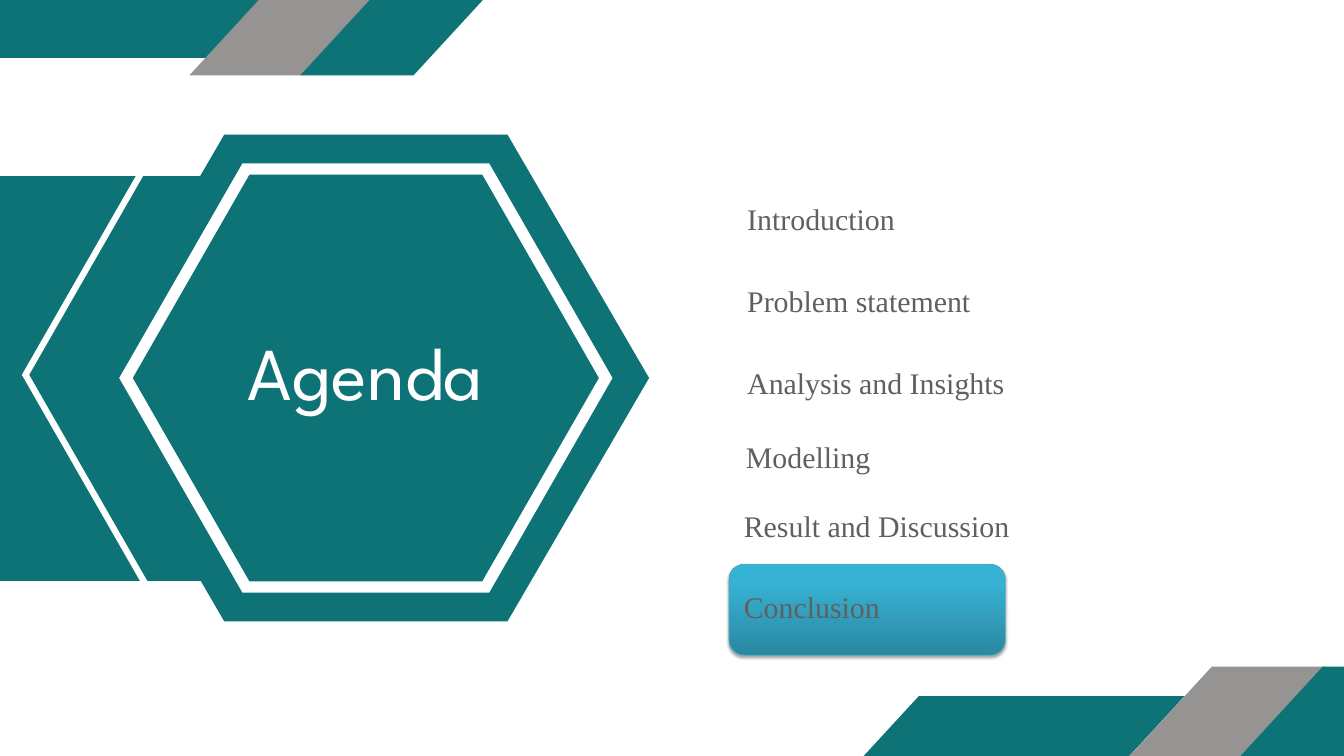
from copy import deepcopy
from dataclasses import dataclass

from lxml.etree import SubElement
from pptx import Presentation
from pptx.dml.color import RGBColor
from pptx.enum.shapes import MSO_CONNECTOR, MSO_SHAPE
from pptx.enum.text import MSO_ANCHOR, MSO_AUTO_SIZE, PP_ALIGN
from pptx.oxml.ns import qn
from pptx.util import Pt


@dataclass(frozen=True)
class Theme:
    """Colours, fonts and type sizes of the deck."""
    teal: str = "0D7377"
    grey: str = "969393"
    white: str = "FFFFFF"
    body: str = "606060"
    highlight_line: str = "46AAC5"
    highlight_stops: tuple = ((0, "2A88A2"), (0.8, "37B1D2"), (1, "34B4D6"))
    shadow: str = "000000"
    title_font: str = "League Spartan"
    body_font: str = "Times New Roman"
    title_size: float = 80
    body_size: float = 32
    body_leading: float = 44.8


@dataclass(frozen=True)
class Box:
    """A region of the slide in points."""
    left: float
    top: float
    width: float
    height: float


THEME = Theme()
AGENDA_ITEMS = (
    ("Introduction", 3.6, 0, 400),
    ("Problem statement", 3.6, 88.5, 296),
    ("Analysis and Insights", 3.6, 175.7, 296),
    ("Modelling", 2.2, 255.6, 296),
    ("Result and Discussion", 0, 329, 296),
    ("Conclusion", 0, 416.2, 296),
)


def rgb(value):
    """Turn a hexadecimal string into a colour."""
    return RGBColor.from_string(value)


def add_polygon(slide, color, *outlines):
    """Draw closed outlines, given in points, as one filled shape."""
    contours = [[(Pt(x), Pt(y)) for x, y in outline] for outline in outlines]
    builder = slide.shapes.build_freeform(*contours[0][0])
    builder.add_line_segments(contours[0][1:])
    for contour in contours[1:]:
        builder.move_to(*contour[0])
        builder.add_line_segments(contour[1:])
    shape = builder.convert_to_shape()
    shape.shadow.inherit = False
    shape.fill.solid()
    shape.fill.fore_color.rgb = rgb(color)
    shape.line.fill.background()


def add_parallelogram(slide, box, slant, color):
    """Draw a parallelogram that leans right by the slant."""
    right, bottom = box.left + box.width, box.top + box.height
    add_polygon(slide, color, [
        (box.left + slant, box.top), (right, box.top),
        (right - slant, bottom), (box.left, bottom)])


def add_ribbon(slide, box, stripe_left, stripe_top):
    """Draw a corner ribbon: a bar crossed by a grey and a teal stripe."""
    add_parallelogram(slide, box, 61, THEME.teal)
    for index, color in enumerate((THEME.grey, THEME.teal)):
        stripe = Box(box.left + stripe_left + index * 118.8,
                     box.top + stripe_top, 209.5, 95.8)
        add_parallelogram(slide, stripe, 88.2, color)


def hexagon(center, width, height):
    """Return the corners of a flat-topped hexagon."""
    x, y = center
    return [(x + width * across, y + height * down) for across, down in (
        (0.5, 0), (0.25, 0.5), (-0.25, 0.5), (-0.5, 0),
        (-0.25, -0.5), (0.25, -0.5), (0.5, 0))]


def add_chevron_line(slide, start, end):
    """Draw one thick white line of the chevron."""
    line = slide.shapes.add_connector(
        MSO_CONNECTOR.STRAIGHT, *(Pt(value) for value in (*start, *end)))
    line.line.color.rgb = rgb(THEME.white)
    line.line.width = Pt(6.75)
    SubElement(line.element.spPr, qn("a:effectLst"))


def set_text(shape, text, font_name, size, leading, color, alignment):
    """Write one formatted line into a shape without margins."""
    frame = shape.text_frame
    frame.word_wrap = True
    frame.auto_size = MSO_AUTO_SIZE.SHAPE_TO_FIT_TEXT
    frame.vertical_anchor = MSO_ANCHOR.TOP
    frame.margin_left = frame.margin_right = 0
    frame.margin_top = frame.margin_bottom = 0
    paragraph = frame.paragraphs[0]
    paragraph.alignment = alignment
    paragraph.line_spacing = Pt(leading)
    paragraph.space_before = Pt(0)
    run = paragraph.add_run()
    run.text = text
    run.font.name = font_name
    run.font.size = Pt(size)
    run.font.color.rgb = rgb(color)


def add_title_panel(slide, box):
    """Draw the hexagon panel and put the title on it."""
    center = (box.left + box.width / 2, box.top + box.height / 2)
    add_polygon(slide, THEME.teal, hexagon(center, box.width, box.height))
    left, right = box.left - 115.2, box.left + 399.6
    top, bottom = box.top + 44, box.top + 478
    add_polygon(slide, THEME.teal, [
        (left, top), (right, top), (right, bottom), (left, bottom)])
    add_polygon(slide, THEME.white, hexagon(center, 528.5, 460),
                hexagon(center, 499.7, 435.6)[::-1])

    tip, end = box.left - 62.3, box.left + 67.7
    add_chevron_line(slide, (end, box.top + 482.4), (tip, box.top + 255.6))
    add_chevron_line(slide, (tip, box.top + 259.2), (end, box.top + 32.4))

    title = slide.shapes.title
    title.left, title.top = Pt(box.left + 61.2), Pt(box.top + 221)
    title.width, title.height = Pt(483.8), Pt(84.2)
    set_text(title, "Agenda", THEME.title_font, THEME.title_size,
             THEME.title_size, THEME.white, PP_ALIGN.CENTER)
    title.element.getparent().append(title.element)


def add_highlight(slide, box):
    """Draw the glossy rounded box behind the current item."""
    shape = slide.shapes.add_shape(
        MSO_SHAPE.ROUNDED_RECTANGLE, Pt(box.left), Pt(box.top),
        Pt(box.width), Pt(box.height))
    shape.shadow.inherit = False
    shape.fill.gradient()
    shape.fill.gradient_angle = 90
    stop_list = shape.element.spPr.find(".//" + qn("a:gsLst"))
    stop_list.insert(1, deepcopy(stop_list[0]))
    for stop, (position, color) in zip(shape.fill.gradient_stops,
                                       THEME.highlight_stops):
        stop.position = position
        stop.color.rgb = rgb(color)
    shape.line.color.rgb = rgb(THEME.highlight_line)
    shape.line.width = Pt(0.75)
    effects = shape.element.spPr.find(qn("a:effectLst"))
    shadow = SubElement(effects, qn("a:outerShdw"), blurRad=str(Pt(3.1)),
                        dist=str(Pt(1.8)), dir="5400000", rotWithShape="0")
    color = SubElement(shadow, qn("a:srgbClr"), val=THEME.shadow)
    SubElement(color, qn("a:alpha"), val="35000")


def add_agenda(slide, box):
    """List the agenda items, with the last one highlighted."""
    add_highlight(slide, Box(box.left - 15.8, box.top + 396.7, 296, 97.2))
    for text, left, top, width in AGENDA_ITEMS:
        label = slide.shapes.add_textbox(
            Pt(box.left + left), Pt(box.top + top), Pt(width), Pt(41.8))
        set_text(label, text, THEME.body_font, THEME.body_size,
                 THEME.body_leading, THEME.body, PP_ALIGN.LEFT)


def main():
    """Build the agenda slide and save it."""
    presentation = Presentation()
    presentation.slide_width, presentation.slide_height = Pt(1440), Pt(810)
    slide = presentation.slides.add_slide(presentation.slide_layouts[5])
    slide.background.fill.solid()
    slide.background.fill.fore_color.rgb = rgb(THEME.white)
    add_ribbon(slide, Box(-61.2, -4.3, 345.6, 66.2), 264.2, -10.8)
    add_ribbon(slide, Box(923.4, 745.9, 345.6, 66.2), 286.9, -31.7)
    add_title_panel(slide, Box(88.6, 144.2, 606.8, 521.6))
    add_agenda(slide, Box(797, 208.1, 403.6, 493.9))
    presentation.save("out.pptx")


if __name__ == "__main__":
    main()
